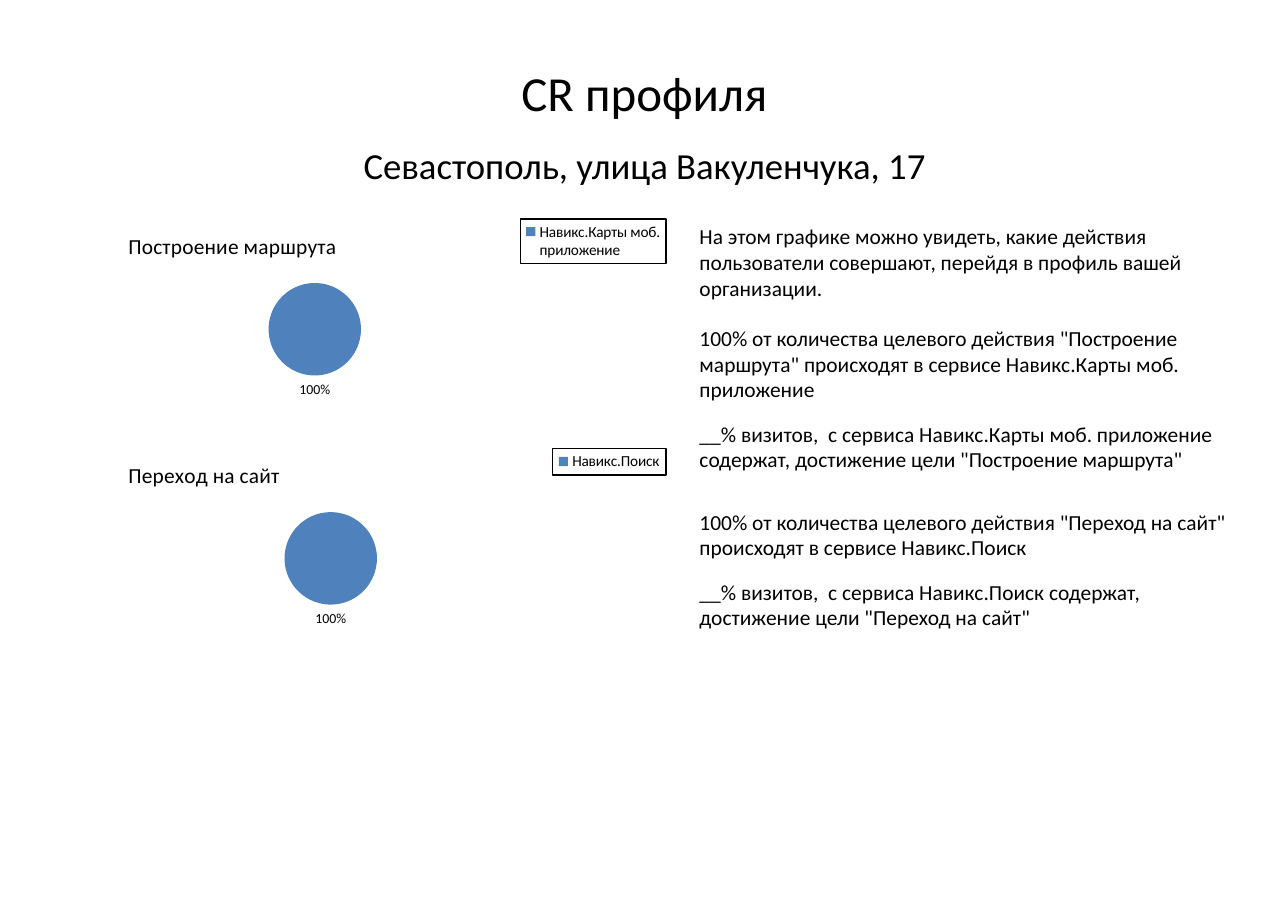
from dataclasses import dataclass

from lxml import etree
from pptx import Presentation, util as u
from pptx.chart.data import CategoryChartData
from pptx.dml.color import RGBColor
from pptx.enum import chart as charts, text
from pptx.oxml import parse_xml
from pptx.oxml.ns import nsdecls, qn


@dataclass(frozen=True)
class Theme:
    """Colours, font and type sizes of the slide."""
    ink: str = "000000"
    pie: str = "4F81BD"
    font: str = "Calibri"
    heading: int = 32
    address: int = 24
    body: int = 14
    legend: int = 10
    label: int = 9


def chart_part(chart, name):
    """Find the XML of a chart's title, legend or plot area."""
    return chart.element.find(f'{qn("c:chart")}/{qn("c:" + name)}')


class Page:
    """The style and the current slide."""

    def __init__(self, slide, theme):
        """Keep the slide and its theme."""
        self.slide, self.theme = slide, theme

    def style(self, font, size):
        """Give a font the theme's look at one size."""
        font.name, font.size, font.bold = self.theme.font, u.Pt(size), False
        font.color.rgb = RGBColor.from_string(self.theme.ink)

    def text(self, box, paragraphs, size, align=text.PP_ALIGN.LEFT):
        """Add a text box from (wording, space after) pairs."""
        frame = self.slide.shapes.add_textbox(*map(u.Inches, box)).text_frame
        frame.word_wrap = True
        for index, (wording, space_after) in enumerate(paragraphs):
            paragraph = frame.add_paragraph() if index else frame.paragraphs[0]
            paragraph.alignment = align
            paragraph.space_after = u.Pt(space_after)
            run = paragraph.add_run()
            run.text = wording
            self.style(run.font, size)

    def pie(self, box, goal, service, legend_size):
        """Add a pie for one goal, with its title left and legend right."""
        data = CategoryChartData()
        data.categories = [service]
        data.add_series(goal, [100])
        chart = self.slide.shapes.add_chart(
            charts.XL_CHART_TYPE.PIE, *map(u.Inches, box), data).chart
        self.style(chart.font, self.theme.legend)
        self.add_title(chart, goal)
        self.add_legend(chart)
        self.add_slice(chart.plots[0])

        width, height = box[2:]
        legend_width, legend_height = legend_size
        legend_left = width - legend_width
        diameter = 0.84
        pie_left = (legend_left - diameter - 0.06) / 2
        self.place(chart, "title", 1, (width, height), (0.08, 0.08))
        self.place(chart, "legend", 1, (width, height),
                   (legend_left, 0.01, legend_width, legend_height))
        self.place(chart, "plotArea", 0, (width, height),
                   (pie_left, 0.59, diameter, diameter))

    def add_title(self, chart, goal):
        """Write the goal as the chart title."""
        chart.has_title = True
        run = chart.chart_title.text_frame.paragraphs[0].add_run()
        run.text = goal
        self.style(run.font, self.theme.body)

    def add_legend(self, chart):
        """Show the legend inside a thin frame."""
        chart.has_legend = True
        legend = chart.legend
        legend.position = charts.XL_LEGEND_POSITION.RIGHT
        legend.include_in_layout = False
        self.style(legend.font, self.theme.legend)
        chart_part(chart, "legend").find(qn("c:overlay")).addnext(parse_xml(
            f'<c:spPr {nsdecls("c", "a")}><a:ln w="{u.Pt(1)}"><a:solidFill>'
            f'<a:srgbClr val="{self.theme.ink}"/></a:solidFill></a:ln></c:spPr>'))

    def add_slice(self, plot):
        """Colour the slice and label it with its share."""
        plot.vary_by_categories = True
        series = plot.series[0]
        look = series.points[0].format
        look.fill.solid()
        look.fill.fore_color.rgb = RGBColor.from_string(self.theme.pie)
        look.line.fill.background()
        labels = series.data_labels
        labels.show_value, labels.show_percentage = False, True
        labels.number_format, labels.number_format_is_linked = "0%", False
        labels.position = charts.XL_LABEL_POSITION.OUTSIDE_END
        self.style(labels.font, self.theme.label)

    @staticmethod
    def place(chart, name, index, size, area):
        """Set a chart part's place, in inches within the chart."""
        owner = chart_part(chart, name)
        for old in owner.findall(qn("c:layout")):
            owner.remove(old)
        layout = parse_xml(f'<c:layout {nsdecls("c")}><c:manualLayout/></c:layout>')
        settings = [("xMode", "edge"), ("yMode", "edge")]
        if name == "plotArea":
            settings.insert(0, ("layoutTarget", "inner"))
        settings += [(key, f"{length / whole:.4f}")
                     for key, length, whole in zip("xywh", area, size * 2)]
        for key, value in settings:
            etree.SubElement(layout[0], qn("c:" + key)).set("val", value)
        owner.insert(index, layout)


def main():
    """Build the slide and save it."""
    deck = Presentation()
    deck.slide_width, deck.slide_height = u.Inches(11.69), u.Inches(8.27)
    theme = Theme()
    page = Page(deck.slides.add_slide(deck.slide_layouts[6]), theme)

    center = text.PP_ALIGN.CENTER
    page.text((0.64, 0.52, 10.42, 1.04), [("CR профиля", 0)], theme.heading, center)
    page.text((0.64, 1.25, 10.42, 1.04),
              [("Севастополь, улица Вакуленчука, 17", 0)], theme.address, center)

    goals = [("Построение маршрута", "Навикс.Карты моб. приложение", (1.32, 0.4)),
             ("Переход на сайт", "Навикс.Поиск", (1.03, 0.24))]
    findings = [("На этом графике можно увидеть, какие действия пользователи "
                 "совершают, перейдя в профиль вашей организации.", 16)]
    for row, (goal, service, legend_size) in enumerate(goals):
        findings += [
            (f'100% от количества целевого действия "{goal}" '
             f'происходят в сервисе {service}', 12),
            (f'__% визитов,  с сервиса {service} содержат, '
             f'достижение цели "{goal}"', 24)]
        page.pie((1.05, 1.98 + row * 2.08, 5, 1.77), goal, service, legend_size)
    page.text((6.25, 1.98, 5.21, 5.21), findings, theme.body)

    deck.save("out.pptx")


main()
